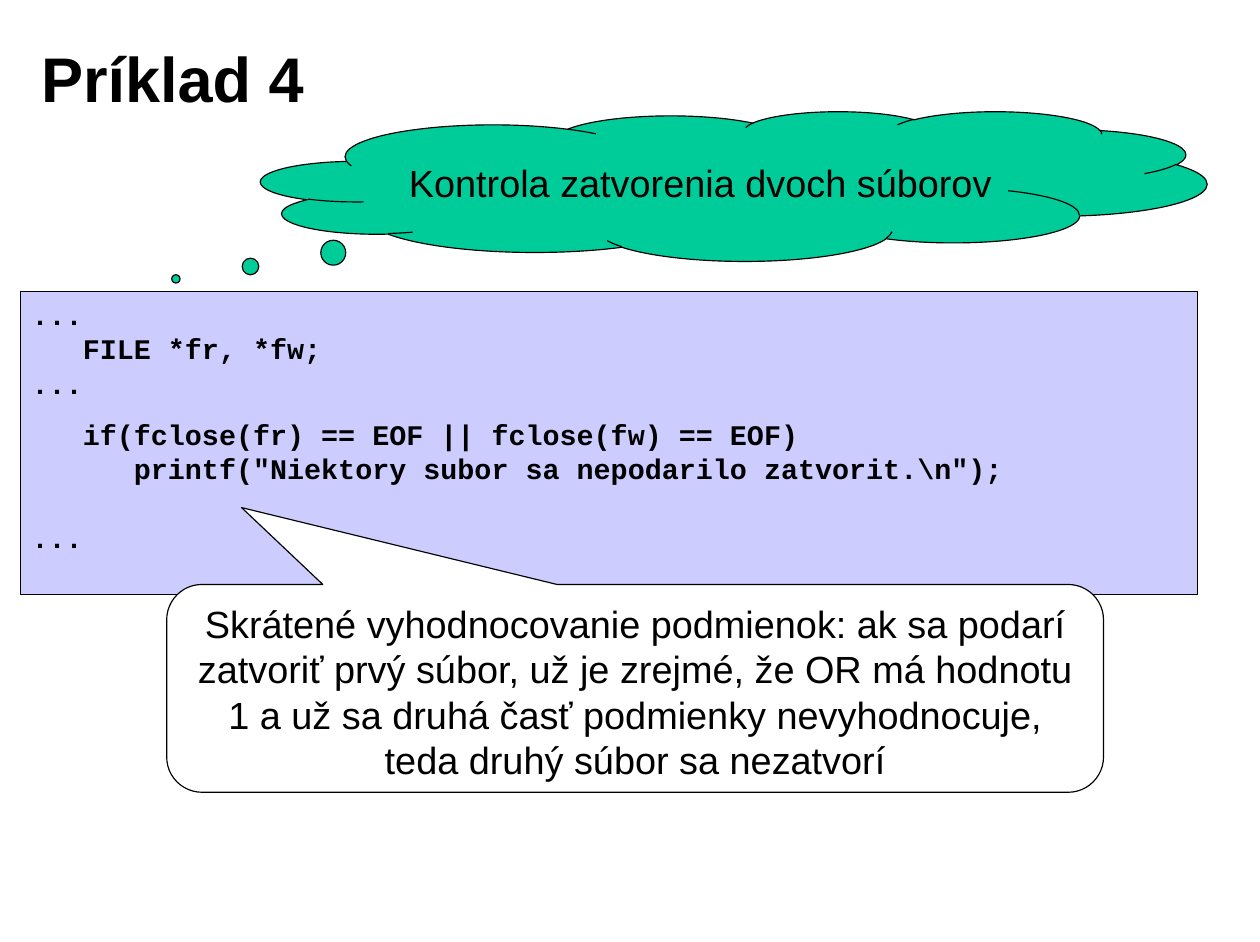
from pptx import Presentation
from pptx import util as u
from pptx.dml import color
from pptx.enum import shapes, text

KIND = shapes.MSO_SHAPE
ANCHOR = text.MSO_ANCHOR
ALIGN = text.PP_ALIGN


def rgb(code):
    return color.RGBColor.from_string(code)


class Page:
    ink = "000000"
    edge = u.Pt(0.75)

    def __init__(self, deck):
        self.slide = deck.slides.add_slide(deck.slide_layouts[6])

    def label(self, item, lines, look, align=ALIGN.LEFT, anchor=ANCHOR.TOP, pad=(0.25, 0.13)):
        frame = item.text_frame
        side, top = map(u.Cm, pad)
        form = {
            "word_wrap": True,
            "auto_size": text.MSO_AUTO_SIZE.NONE,
            "vertical_anchor": anchor,
            "margin_left": side,
            "margin_right": side,
            "margin_top": top,
            "margin_bottom": top,
        }
        for key, value in form.items():
            setattr(frame, key, value)
        for row, (line, gap) in enumerate(lines):
            para = frame.add_paragraph() if row else frame.paragraphs[0]
            para.alignment = align
            if gap:
                para.space_before = u.Pt(gap)
            run = para.add_run()
            run.text = line
            for key, value in look.items():
                setattr(run.font, key, value)
            run.font.color.rgb = rgb(self.ink)

    def title(self, box, line, look):
        item = self.slide.shapes.add_textbox(*map(u.Cm, box))
        self.label(item, [(line, 0)], look, anchor=ANCHOR.MIDDLE, pad=(0.28, 0.15))

    def shape(self, kind, box, fill, lines, look, tune=(), **form):
        item = self.slide.shapes.add_shape(kind, *map(u.Cm, box))
        for spot, value in enumerate(tune):
            item.adjustments[spot] = value
        item.shadow.inherit = False
        item.fill.solid()
        item.fill.fore_color.rgb = rgb(fill)
        item.line.color.rgb = rgb(self.ink)
        item.line.width = self.edge
        self.label(item, lines, look, **form)


def main():
    deck = Presentation()
    deck.slide_width, deck.slide_height = u.Cm(28.19), u.Cm(21.08)
    page = Page(deck)
    head = {"name": "Arial", "size": u.Pt(40), "bold": True}
    body = {"name": "Arial", "size": u.Pt(24)}
    mono = {"name": "Courier New", "size": u.Pt(18), "bold": True}

    page.title((0.64, 0.43, 22.66, 2.59), "Príklad 4", head)
    page.shape(
        KIND.CLOUD_CALLOUT, (5.84, 2.49, 21.16, 3.35), "00CC99",
        [("Kontrola zatvorenia dvoch súborov", 0)], body,
        tune=(-0.59, 0.62), align=ALIGN.CENTER, anchor=ANCHOR.MIDDLE,
    )
    code = [
        ("...", 0),
        ("   FILE *fr, *fw;", 0),
        ("...", 0),
        ("   if(fclose(fr) == EOF || fclose(fw) == EOF)", 11.3),
        ('      printf("Niektory subor sa nepodarilo zatvorit.\\n");', 0),
        ("...", 21.6),
    ]
    page.shape(KIND.RECTANGLE, (0.46, 6.53, 26.34, 6.78), "CCCCFF", code, mono)
    note = (
        "Skrátené vyhodnocovanie podmienok: ak sa podarí zatvoriť prvý súbor, "
        "už je zrejmé, že OR má hodnotu 1 a už sa druhá časť podmienky "
        "nevyhodnocuje, teda druhý súbor sa nezatvorí"
    )
    page.shape(
        KIND.ROUNDED_RECTANGULAR_CALLOUT, (3.73, 13.08, 20.96, 4.65), "FFFFFF",
        [(note, 0)], body, tune=(-0.42, -0.87, 0.17), align=ALIGN.CENTER,
    )
    deck.save("out.pptx")


if __name__ == "__main__":
    main()
